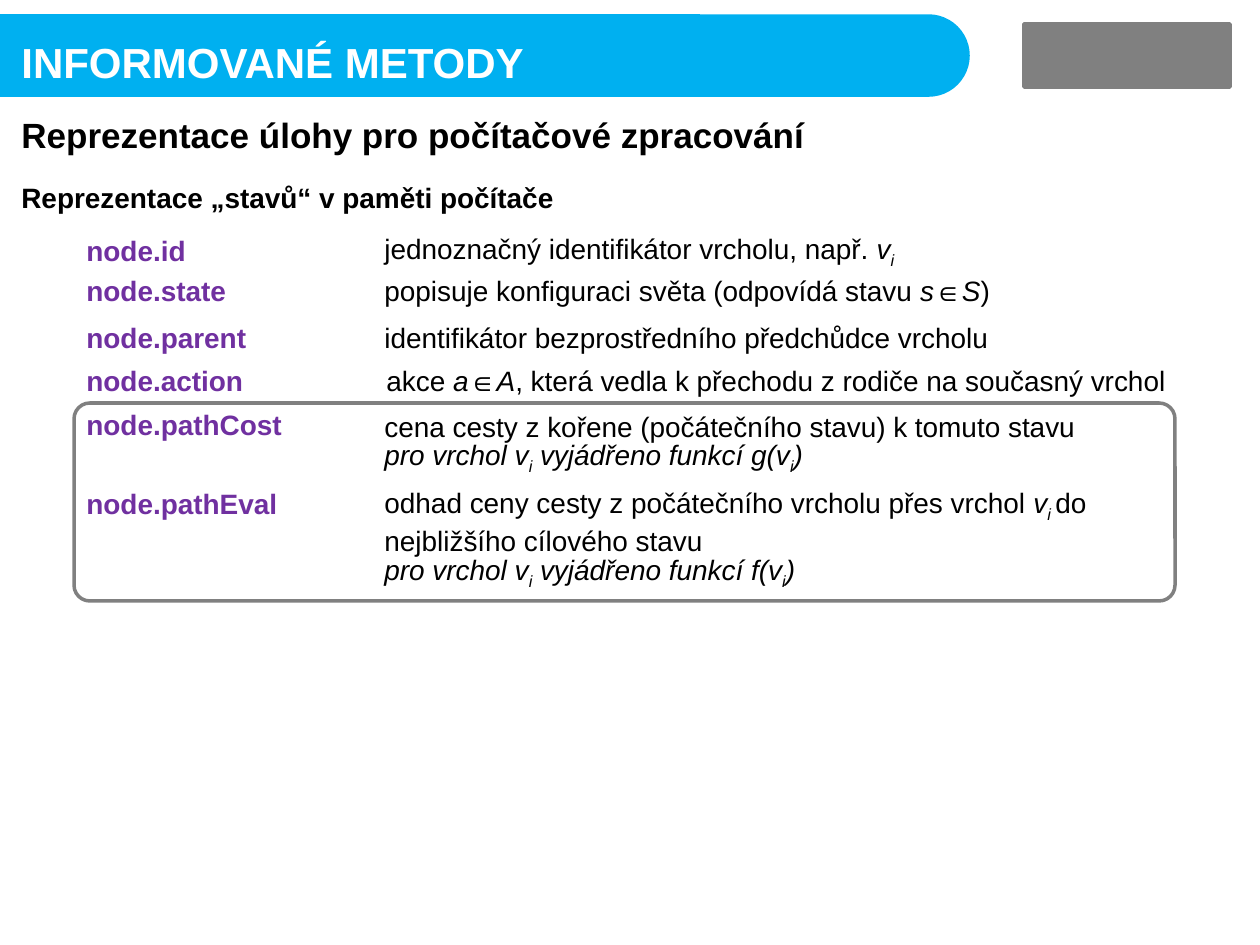
import pptx
import pptx.util
import pptx.dml.color
import pptx.enum.shapes
import pptx.enum.text
from dataclasses import dataclass

PX = 914400 / 126
SHAPE = pptx.enum.shapes.MSO_SHAPE
ANCHOR = pptx.enum.text.MSO_ANCHOR


@dataclass(frozen=True)
class Theme:
    font: str = "Arial"
    bar: str = "00B0F0"
    white: str = "FFFFFF"
    ink: str = "000000"
    key: str = "7030A0"
    grey: str = "808080"
    title: int = 24
    head: int = 20
    body: int = 16
    line: int = 2


THEME = Theme()

# Each run is (text, style): "i" is italic, "_" is subscript.
FIELDS = [
    # name, top of name, lines of (left, top, height, runs)
    ("node.id", 0, [(298, 0, 47, [
        ("jednoznačný identifikátor vrcholu, např. ", ""),
        ("v", "i"), ("i", "i_")])]),
    ("node.state", 40, [(298, 40, 47, [
        ("popisuje konfiguraci světa (odpovídá stavu ", ""),
        ("s", "i"), ("∈", ""), ("S", "i"), (")", "")])]),
    ("node.parent", 87, [(298, 87, 47, [
        ("identifikátor bezprostředního předchůdce vrcholu", "")])]),
    ("node.action", 130, [(300, 130, 47, [
        ("akce ", ""), ("a", "i"), ("∈", ""), ("A", "i"),
        (", která vedla k přechodu z rodiče na současný vrchol", "")])]),
]


def cost(func):
    return [("pro vrchol v", "i"), ("i", "i_"),
            (f" vyjádřeno funkcí {func}(v", "i"), ("i", "i_"), (")", "i")]


FIELDS += [
    ("node.pathCost", 174, [
        (298, 176, 47, [
            ("cena cesty z kořene (počátečního stavu) k tomuto stavu", "")]),
        (298, 206, 47, cost("g"))]),
    ("node.pathEval", 253, [
        (298, 254, 81, [
            ("odhad ceny cesty z počátečního vrcholu přes vrchol ", ""),
            ("v", "i"), ("i ", "i_"), ("do nejbližšího cílového stavu", "")]),
        (298, 321, 47, cost("f"))]),
]


def rgb(code):
    return pptx.dml.color.RGBColor.from_string(code)


def emu(*sizes):
    return [round(size * PX) for size in sizes]


def text(slide, box, runs, size, color, bold=False, wrap=True):
    frame = slide.shapes.add_textbox(*emu(*box)).text_frame
    frame.word_wrap = wrap
    frame.vertical_anchor = ANCHOR.MIDDLE
    for words, style in runs:
        run = frame.paragraphs[0].add_run()
        run.text = words
        font = run.font
        font.name, font.size = THEME.font, pptx.util.Pt(size)
        font.bold, font.italic = bold, "i" in style
        font.color.rgb = rgb(color)
        if "_" in style:
            run._r.get_or_add_rPr().set("baseline", "-25000")


def panel(slide, box, round_by, line, fill=None):
    """Draw a rounded box, hollow unless a fill is given."""
    shape = slide.shapes.add_shape(SHAPE.ROUNDED_RECTANGLE, *emu(*box))
    shape.adjustments[0] = round_by
    shape.shadow.inherit = False
    shape.line.color.rgb = rgb(line)
    shape.line.width = pptx.util.Pt(THEME.line)
    if fill:
        shape.fill.solid()
        shape.fill.fore_color.rgb = rgb(fill)
    else:
        shape.fill.background()


def header(slide, left, top, width, height):
    panel(slide, (left - 44, top, 1012, 79), 0.5, THEME.bar, THEME.bar)
    text(slide, (left + 9, top + 14, 533, 63), [("INFORMOVANÉ METODY", "")],
         THEME.title, THEME.white, bold=True, wrap=False)
    # A plain block stands where the course badge goes.
    panel(slide, (left + width - 236, top + 8, 206, height - 16), 0,
          THEME.grey, THEME.grey)


def heads(slide, left, top, width):
    text(slide, (left, top, width, 55),
         [("Reprezentace úlohy pro počítačové zpracování", "")],
         THEME.head, THEME.ink, bold=True)
    text(slide, (left, top + 67, width, 47),
         [("Reprezentace „stavů“ v paměti počítače", "")],
         THEME.body, THEME.ink, bold=True)


def fields(slide, left, top, width):
    for name, drop, lines in FIELDS:
        text(slide, (left, top + drop, 258, 47), [(name, "")],
             THEME.body, THEME.key, bold=True)
        for x, y, high, runs in lines:
            text(slide, (left + x, top + y, width - 298, high), runs,
                 THEME.body, THEME.ink)
    panel(slide, (left, top + 176, 1101, 198), 0.08, THEME.grey)


def main():
    deck = pptx.Presentation()
    deck.slide_width, deck.slide_height = emu(1260, 945)
    slide = deck.slides.add_slide(deck.slide_layouts[6])
    header(slide, 0, 16, 1260, 79)
    heads(slide, 9, 107, 979)
    fields(slide, 74, 227, 1150)
    deck.save("out.pptx")


if __name__ == "__main__":
    main()
